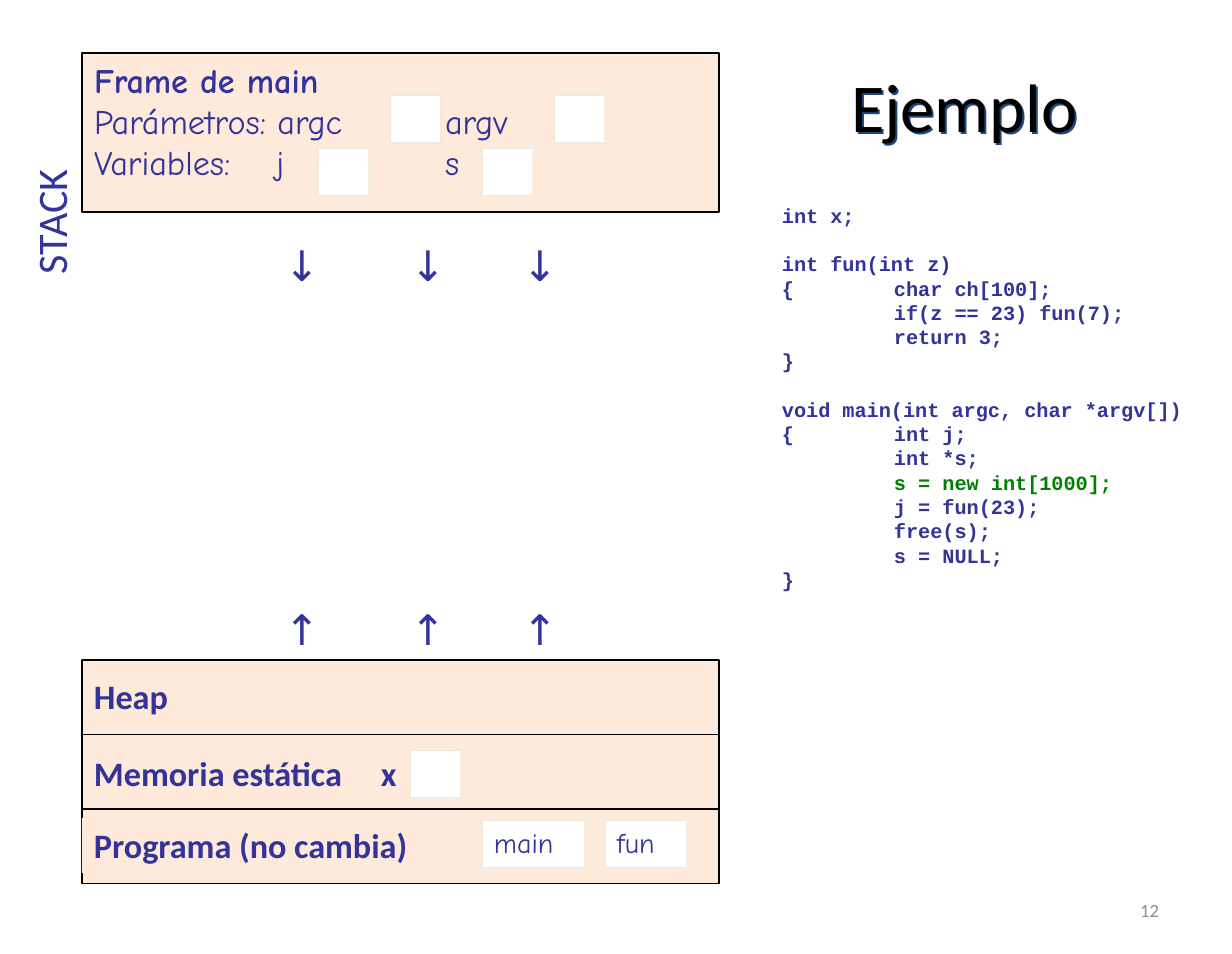
import pptx
import pptx.util
import pptx.dml.color
import pptx.enum.shapes
import pptx.enum.text
import pptx.oxml
import pptx.oxml.ns
from dataclasses import dataclass

SCALE = 914400 / 112.1
ALIGN = pptx.enum.text.PP_ALIGN
ANCHOR = pptx.enum.text.MSO_ANCHOR


@dataclass
class Theme:
    ink: str = "333399"
    new: str = "008000"
    black: str = "000000"
    grey: str = "8C8C8C"
    peach: str = "FDEADA"
    white: str = "FFFFFF"
    cell_edge: str = "EEECE1"
    shadow: str = "1F497D"
    sans: str = "Calibri"
    hand: str = "Comic Neue"
    mono: str = "Courier New"
    title: float = 44
    mark: float = 27
    label: float = 22
    function: float = 18
    code: float = 13
    code_line: float = 15.6
    number: float = 12


theme = Theme()

title = "Ejemplo"
page = "12"
stack_name = "STACK"
frame_lines = [
    ("Frame de main", True),
    ("Parámetros: argc\targv", False),
    ("Variables:\tj\ts", False),
]
segments = [("Heap", 9), ("Memoria estática\tx", 12), ("Programa (no cambia)", 9)]
filled_segment = "Programa (no cambia)"
functions = [("main", 482, 103), ("fun", 605, 82)]
value_cells = [(390, 95), (554, 95), (318, 148), (482, 148)]
static_cell = (410, 750)
growth_rows = [("↓", 233), ("↑", 597)]
code_blocks = [
    ["int x;"],
    ["int fun(int z)", "{\tchar ch[100];", "\tif(z == 23) fun(7);", "\treturn 3;", "}"],
    ["void main(int argc, char *argv[])", "{\tint j;", "\tint *s;",
     "\ts = new int[1000];", "\tj = fun(23);", "\tfree(s);", "\ts = NULL;", "}"],
]
highlighted = "\ts = new int[1000];"

stack_left, stack_width = 82, 637
segment_top, segment_height = 660, 74.5
cell_width, cell_height = 51, 48
frame_tabs = [(182, "l"), (351, "l")]
static_tabs = [(287, "l")]
growth_tabs = [(157, "ctr"), (283, "ctr"), (395, "ctr")]
code_tabs = [(112, "l")]


def px(length):
    return pptx.util.Emu(round(length * SCALE))


def rgb(colour):
    return pptx.dml.color.RGBColor.from_string(colour)


prs = pptx.Presentation()
prs.slide_width, prs.slide_height = px(1232), px(954)
slide = prs.slides.add_slide(prs.slide_layouts[5])


def box(left, top, width, height, fill, edge=None):
    shape = slide.shapes.add_shape(
        pptx.enum.shapes.MSO_SHAPE.RECTANGLE, px(left), px(top), px(width), px(height))
    shape.shadow.inherit = False
    shape.fill.solid()
    shape.fill.fore_color.rgb = rgb(fill)
    if edge:
        shape.line.color.rgb = rgb(edge)
        shape.line.width = pptx.util.Pt(0.75)
    else:
        shape.line.fill.background()
    return shape


def text_area(left, top, width, height):
    return slide.shapes.add_textbox(px(left), px(top), px(width), px(height))


def add_run(paragraph, text, size, font, colour, bold=False):
    run = paragraph.add_run()
    run.text = text
    run.font.size = pptx.util.Pt(size)
    run.font.name = font
    run.font.bold = bold
    run.font.color.rgb = rgb(colour)


def start_text(shape, anchor=ANCHOR.TOP):
    frame = shape.text_frame
    frame.word_wrap = True
    frame.vertical_anchor = anchor
    frame.margin_left = frame.margin_right = px(12)
    frame.margin_top = frame.margin_bottom = px(6)
    return frame


def next_paragraph(frame, align=ALIGN.LEFT, tabs=(), line=None, before=None):
    first = frame.paragraphs[0]
    paragraph = frame.add_paragraph() if first.runs else first
    paragraph.alignment = align
    if line is not None:
        paragraph.line_spacing = pptx.util.Pt(line)
    if before is not None:
        paragraph.space_before = pptx.util.Pt(before)
    if tabs:
        tab_list = pptx.oxml.parse_xml(
            "<a:tabLst %s/>" % pptx.oxml.ns.nsdecls("a"))
        for position, kind in tabs:
            tab = tab_list.makeelement(pptx.oxml.ns.qn("a:tab"),
                                       {"pos": str(px(position)), "algn": kind})
            tab_list.append(tab)
        paragraph._p.get_or_add_pPr().append(tab_list)
    return paragraph


def write(shape, text, size, font, colour=theme.ink, bold=False,
          align=ALIGN.LEFT, tabs=(), anchor=ANCHOR.TOP):
    paragraph = next_paragraph(start_text(shape, anchor), align, tabs)
    add_run(paragraph, text, size, font, colour, bold)


def value_cell(left, top, width=cell_width):
    return box(left, top, width, cell_height, theme.white, theme.cell_edge)


heading = slide.shapes.title
heading.left, heading.top, heading.width, heading.height = map(px, (790, 43, 349, 124))
write(heading, title, theme.title, theme.sans, theme.black,
      align=ALIGN.CENTER, anchor=ANCHOR.MIDDLE)
heading.fill.background()
heading._element.spPr.append(pptx.oxml.parse_xml(
    '<a:effectLst %s><a:outerShdw dist="23000" dir="2700000" algn="tl" rotWithShape="0">'
    '<a:srgbClr val="%s"/></a:outerShdw></a:effectLst>'
    % (pptx.oxml.ns.nsdecls("a"), theme.shadow)))

code = start_text(text_area(770, 197, 462, 419))
for block_index, block in enumerate(code_blocks):
    for line_index, line in enumerate(block):
        opens_block = block_index > 0 and line_index == 0
        paragraph = next_paragraph(code, tabs=code_tabs, line=theme.code_line,
                                   before=theme.code_line if opens_block else 0)
        colour = theme.new if line == highlighted else theme.ink
        add_run(paragraph, line, theme.code, theme.mono, colour, True)

box(stack_left, 53, stack_width, 159, theme.peach, theme.black)
main_frame = start_text(text_area(stack_left, 53, 667, 140))
for line, bold in frame_lines:
    add_run(next_paragraph(main_frame, tabs=frame_tabs), line,
            theme.label, theme.hand, theme.ink, bold)
for left, top in value_cells:
    value_cell(left, top)

for arrow, top in growth_rows:
    write(text_area(133, top, 575, 64), ("\t" + arrow) * len(growth_tabs),
          theme.mark, theme.hand, tabs=growth_tabs)

segment_tops = [segment_top + i * segment_height for i in range(len(segments))]
for top in segment_tops:
    box(stack_left, top, stack_width, segment_height, theme.peach, theme.black)
for (name, drop), top in zip(segments, segment_tops):
    place = (stack_left, top + drop, 452, 55)
    label = box(*place, theme.peach) if name == filled_segment else text_area(*place)
    write(label, name, theme.label, theme.sans, bold=True, tabs=static_tabs)
value_cell(*static_cell)
for name, left, width in functions:
    write(value_cell(left, 820, width), name, theme.function, theme.hand)

stack_label = text_area(-39, 164, 180, 64)
stack_label.rotation = 270
write(stack_label, stack_name, theme.mark, theme.sans)

write(text_area(884, 885, 287, 50), page, theme.number, theme.sans, theme.grey,
      align=ALIGN.RIGHT, anchor=ANCHOR.MIDDLE)

prs.save("out.pptx")
